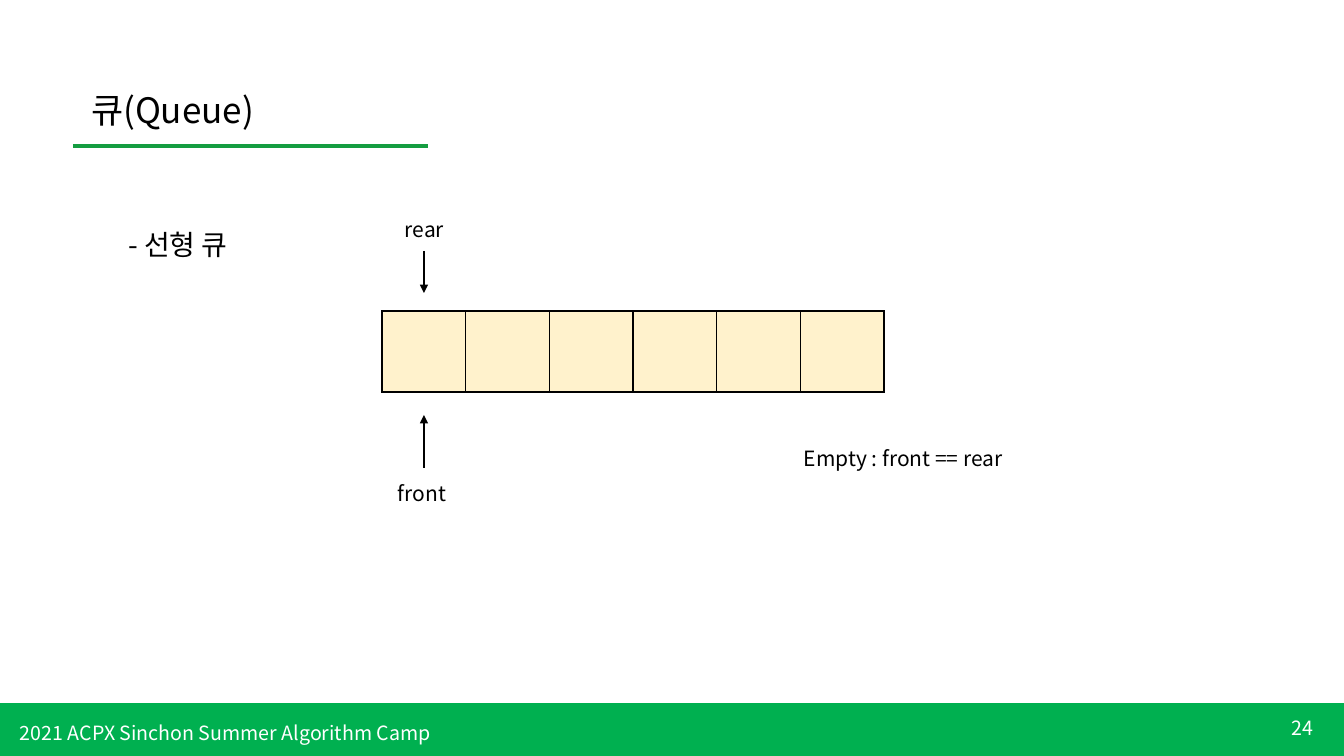
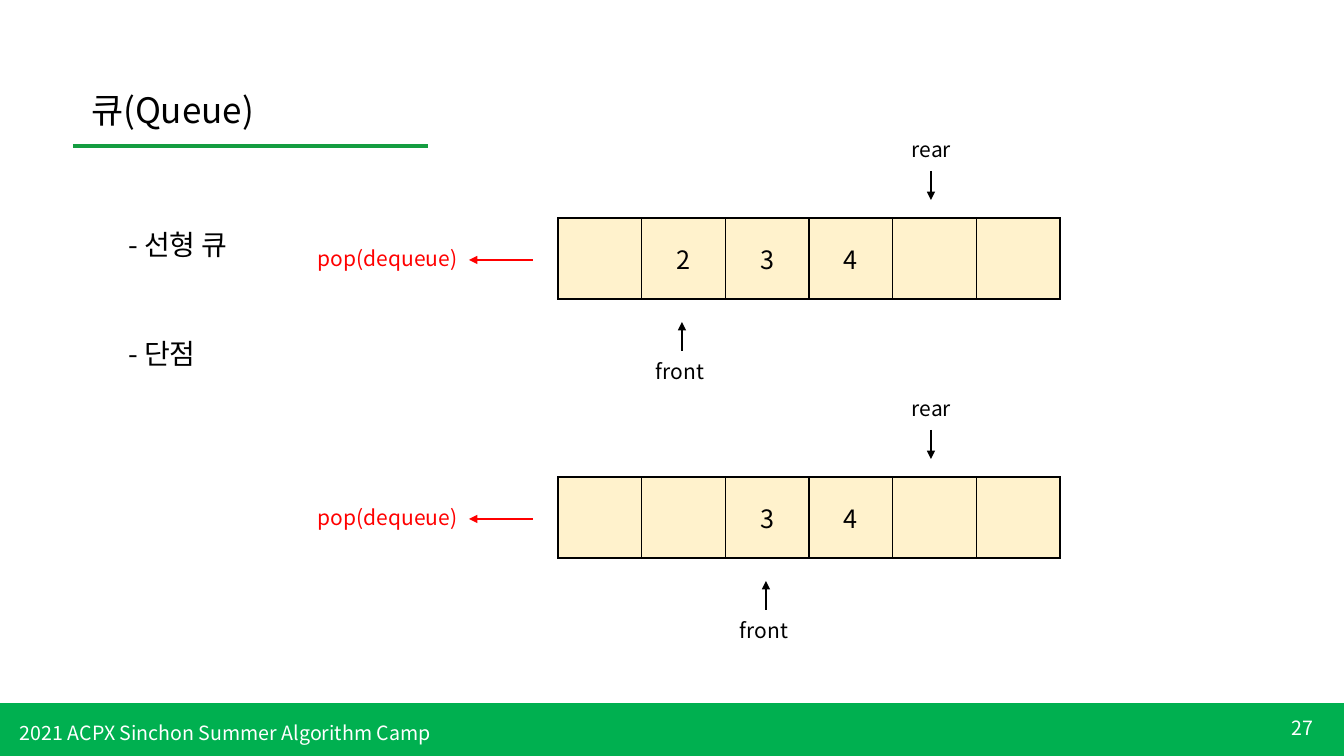
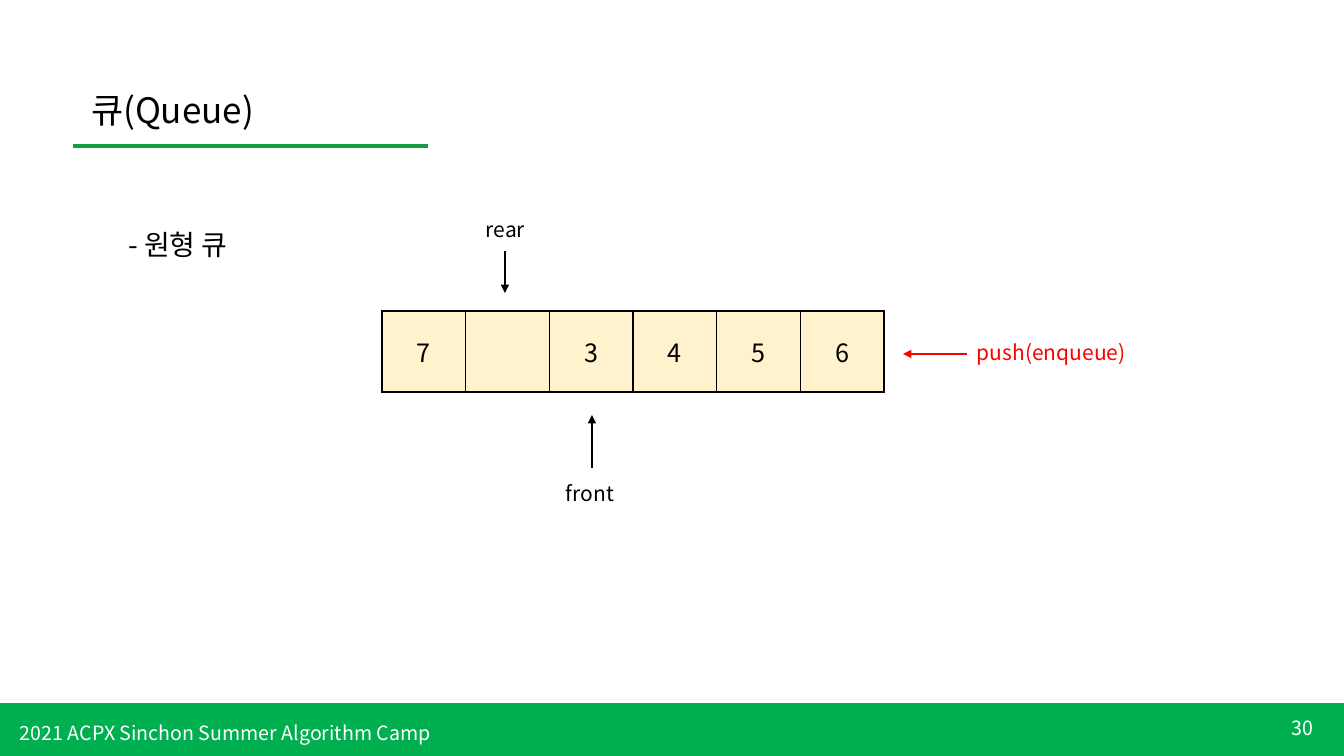
"""Build three slides that explain linear and circular queues."""
from pptx import Presentation, util as u
from pptx.dml.color import RGBColor
from pptx.enum import shapes, text
from pptx.oxml import parse_xml
from pptx.oxml.ns import nsdecls, qn

SCALE = 914400 / 100.8
FONT = "Noto Sans CJK KR"
BLACK, WHITE, RED = "000000", "FFFFFF", "FF0000"
BAND, RULE, CELL = "00B050", "159D41", "FFF2CC"
TITLE = "큐(Queue)"
FOOTER = "2021 ACPX Sinchon Summer Algorithm Camp"
QUEUE_WIDTH, QUEUE_HEIGHT = 502, 81

# Heights of the pointer parts, measured from the top of the queue.
ROOMY = {"rear_label": -99, "rear_tail": -60, "front_tail": 157, "front_label": 165}
TIGHT = {"rear_label": -86, "rear_tail": -47, "front_tail": 133, "front_label": 136}
REAR_HEAD, FRONT_HEAD = -18, 104


def px(*lengths):
    """Turn pixels into a list of EMU lengths."""
    return [u.Emu(round(length * SCALE)) for length in lengths]


def rgb(value):
    """Turn a hex string into a colour."""
    return RGBColor.from_string(value)


def write(frame, *lines, size=15, color=BLACK, align=text.PP_ALIGN.LEFT,
          anchor=text.MSO_ANCHOR.TOP, gap=0):
    """Fill a text frame with paragraphs; gap is the space between them in points."""
    frame.word_wrap = True
    frame.vertical_anchor = anchor
    for index, line in enumerate(lines):
        para = frame.add_paragraph() if index else frame.paragraphs[0]
        para.alignment = align
        para.space_before = u.Pt(gap if index else 0)
        span = para.add_run()
        span.text = line
        span.font.size, span.font.bold = u.Pt(size), False
        span.font.color.rgb = rgb(color)
        span.font.name = FONT
        span.font._element.append(parse_xml(f'<a:ea {nsdecls("a")} typeface="{FONT}"/>'))


def add_label(slide, words, left, top, width, height=35, **style):
    """Add a text box."""
    box = slide.shapes.add_textbox(*px(left, top, width, height))
    write(box.text_frame, words, **style)


def fill_placeholder(holder, area, *lines, **style):
    """Move a placeholder, and fill it with paragraphs without bullets."""
    holder.left, holder.top, holder.width, holder.height = px(*area)
    holder.text_frame.auto_size = text.MSO_AUTO_SIZE.NONE
    write(holder.text_frame, *lines, **style)
    for para in holder.text_frame.paragraphs:
        props = para._p.get_or_add_pPr()
        props.set("marL", "0")
        props.set("indent", "0")
        props.append(parse_xml(f'<a:buNone {nsdecls("a")}/>'))


def add_line(slide, start, end, color=BLACK, weight=1.5, arrow=True):
    """Draw a straight line, with an arrowhead at its end if wanted."""
    line = slide.shapes.add_connector(shapes.MSO_CONNECTOR.STRAIGHT, *px(*start, *end))
    line.line.color.rgb = rgb(color)
    line.line.width = u.Pt(weight)
    props = line.element.spPr
    if arrow:
        props.find(qn("a:ln")).append(
            parse_xml(f'<a:tailEnd {nsdecls("a")} type="triangle"/>'))
    props.append(parse_xml(f'<a:effectLst {nsdecls("a")}/>'))


def format_cell(cell, value):
    """Give a cell its border, its fill and its value."""
    props = cell._tc.get_or_add_tcPr()
    for side in "LRTB":
        props.append(parse_xml(
            f'<a:ln{side} {nsdecls("a")} w="12700"><a:solidFill>'
            f'<a:srgbClr val="{BLACK}"/></a:solidFill></a:ln{side}>'))
    cell.fill.solid()
    cell.fill.fore_color.rgb = rgb(CELL)
    cell.margin_left, cell.margin_right, cell.margin_top, cell.margin_bottom = px(8, 8, 4, 4)
    cell.vertical_anchor = text.MSO_ANCHOR.MIDDLE
    if value.strip():
        write(cell.text_frame, value, size=18, align=text.PP_ALIGN.CENTER,
              anchor=text.MSO_ANCHOR.MIDDLE)


def add_queue(slide, left, top, values, front, rear, spacing):
    """Draw a queue, one character a cell, with pointers at x = front and x = rear."""
    table = slide.shapes.add_table(
        1, len(values), *px(left, top, QUEUE_WIDTH, QUEUE_HEIGHT)).table
    table.first_row = table.horz_banding = False
    for cell, value in zip(table.iter_cells(), values):
        format_cell(cell, value)
    add_line(slide, (front, top + spacing["front_tail"]), (front, top + FRONT_HEAD))
    add_label(slide, "front", front - 36, top + spacing["front_label"], 87)
    add_line(slide, (rear, top + spacing["rear_tail"]), (rear, top + REAR_HEAD))
    add_label(slide, "rear", rear - 29, top + spacing["rear_label"], 76)


def add_operation(slide, name, left, tail, y):
    """Draw a red arrow to the left from x = tail, and the operation's name."""
    add_line(slide, (tail, y), (tail - 64, y), color=RED)
    add_label(slide, name, left, y - 19, 175, color=RED)


def add_page(deck, number, *points, width=122, height=44):
    """Add a slide with band, footer, number, title and list."""
    slide = deck.slides.add_slide(deck.slide_layouts[1])
    band = slide.shapes.add_shape(shapes.MSO_SHAPE.RECTANGLE, *px(0, 704, 1344, 52))
    band.shadow.inherit = False
    band.fill.solid()
    band.fill.fore_color.rgb = band.line.color.rgb = rgb(BAND)
    band.line.width = u.Pt(1)
    add_label(slide, str(number), 1222, 708, 101, 40, size=14, color=WHITE,
              align=text.PP_ALIGN.RIGHT, anchor=text.MSO_ANCHOR.MIDDLE)
    add_label(slide, FOOTER, 10, 716, 581, size=14, color=WHITE)
    add_line(slide, (73, 146), (428, 146), color=RULE, weight=2.25, arrow=False)
    title, body = slide.placeholders
    fill_placeholder(title, (81, 83, 355, 52), TITLE, size=25)
    fill_placeholder(body, (118, 222, width, height), *points, size=20, gap=54)
    return slide


def main():
    """Build the deck and save it."""
    deck = Presentation()
    deck.slide_width, deck.slide_height = px(1344, 756)

    empty = add_page(deck, 24, "- 선형 큐", width=143)
    add_queue(empty, 382, 311, " " * 6, front=424, rear=424, spacing=ROOMY)
    add_label(empty, "Empty : front == rear", 794, 441, 251)

    drawback = add_page(deck, 27, "- 선형 큐", "- 단점", height=187)
    for top, values, front in ((218, " 234  ", 682), (477, "  34  ", 766)):
        add_queue(drawback, 558, top, values, front, rear=931, spacing=TIGHT)
        add_operation(drawback, "pop(dequeue)", 308, 533, top + 42)

    circular = add_page(deck, 30, "- 원형 큐")
    add_queue(circular, 382, 311, "7 3456", front=592, rear=505, spacing=ROOMY)
    add_operation(circular, "push(enqueue)", 967, 967, 354)

    deck.save("out.pptx")


main()
